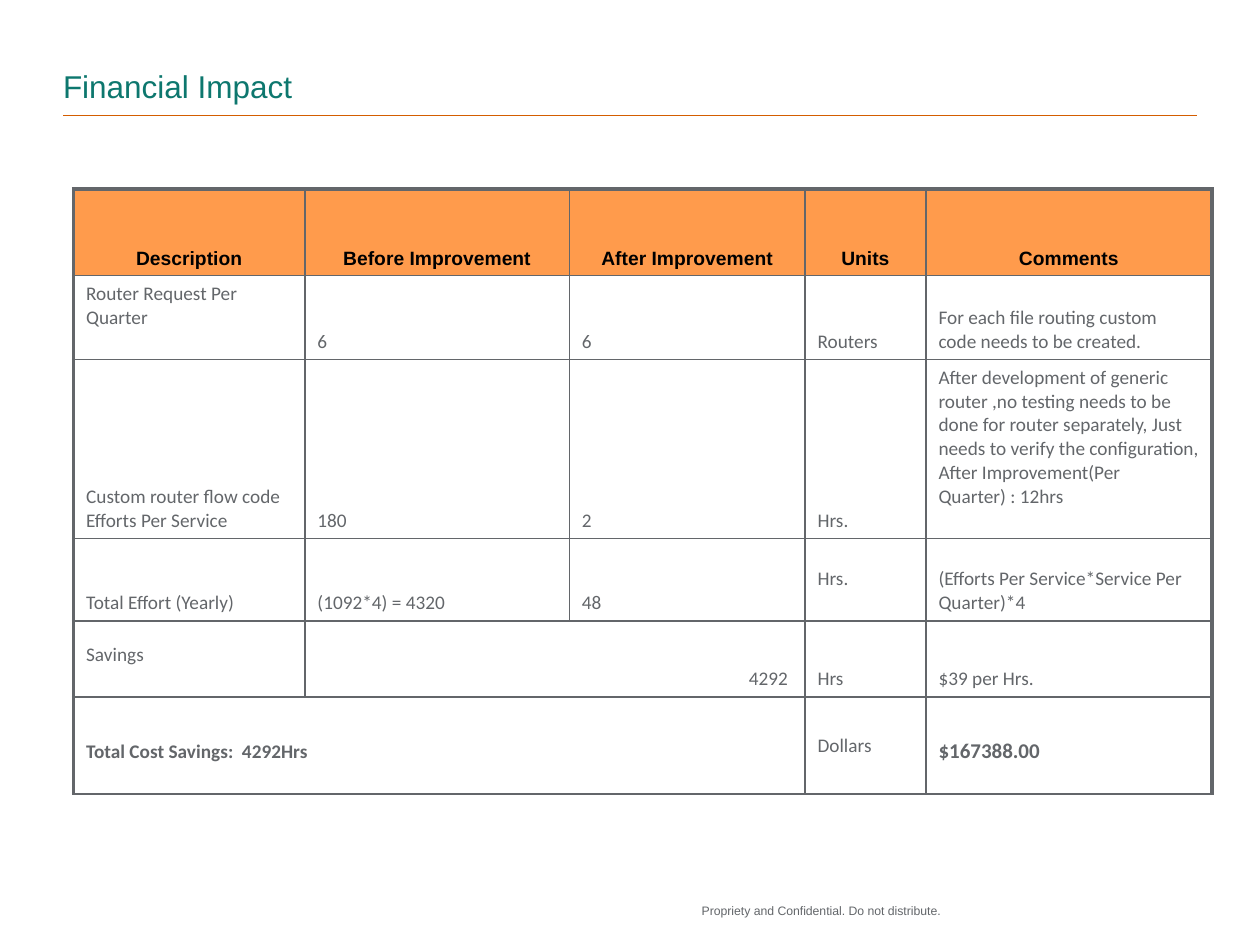
from lxml.etree import SubElement
from pptx import Presentation
from pptx.dml.color import RGBColor
from pptx.enum.shapes import MSO_CONNECTOR
from pptx.enum.text import MSO_ANCHOR, MSO_AUTO_SIZE, PP_ALIGN
from pptx.oxml.ns import qn
from pptx.util import Pt

GRAY, GREEN, ORANGE, RUST = "63666A", "0D776E", "FF9B4C", "D45D00"
EXTRA_LINE = 13.6

COLUMNS = [132.2, 151.2, 134.64, 69.12, 163.44]
ROWS = [49.5, 48, 102, 47, 43.5, 55.5]
CONTENT = [
    ["Description", "Before Improvement", "After Improvement", "Units", "Comments"],
    ["Router Request Per Quarter", "6", "6", "Routers",
     "For each file routing custom code needs to be created."],
    ["Custom router flow code Efforts Per Service", "180", "2", "Hrs.",
     "After development of generic router ,no testing needs to be done for router "
     "separately, Just needs to verify the configuration,\n"
     "After Improvement(Per Quarter) : 12hrs"],
    ["Total Effort (Yearly)", "(1092*4) = 4320", "48", "Hrs.",
     "(Efforts Per Service*Service Per Quarter)*4"],
    ["Savings", "4292 ", None, "Hrs", "$39 per Hrs."],
    ["Total Cost Savings:  4292Hrs", None, None, "Dollars", "$167388.00"],
]
# Cells whose text stands one line above the bottom
RAISED = {(1, 0), (2, 4), (3, 3), (4, 0), (5, 0), (5, 4)}


def color(value):
    return RGBColor.from_string(value)


class SlideBuilder:
    def __init__(self, slide):
        self.slide = slide

    def style(self, paragraph, size, font="Arial", ink=GRAY, bold=False):
        paragraph.font.size = Pt(size)
        paragraph.font.name = font
        paragraph.font.bold = bold
        paragraph.font.color.rgb = color(ink)

    def frame(self, shape, text, wrap=True):
        frame = shape.text_frame
        frame.text = text
        frame.word_wrap = wrap
        frame.auto_size = MSO_AUTO_SIZE.NONE
        frame.margin_left = frame.margin_right = 0
        frame.margin_top = frame.margin_bottom = 0
        return frame

    def title(self, text, left, top, width, height):
        shape = self.slide.shapes.title
        shape.left, shape.top = Pt(left), Pt(top)
        shape.width, shape.height = Pt(width), Pt(height)
        frame = self.frame(shape, text)
        frame.vertical_anchor = MSO_ANCHOR.BOTTOM
        frame.paragraphs[0].alignment = PP_ALIGN.LEFT
        self.style(frame.paragraphs[0], 18, ink=GREEN)

    def rule(self, left, right, y):
        connector = self.slide.shapes.add_connector(
            MSO_CONNECTOR.STRAIGHT, Pt(left), Pt(y), Pt(right), Pt(y))
        connector.line.width = Pt(1)
        connector.line.fill.solid()
        connector.line.fill.fore_color.rgb = color(RUST)
        SubElement(connector._element.spPr, qn("a:effectLst"))

    def label(self, text, left, top, width, height):
        box = self.slide.shapes.add_textbox(Pt(left), Pt(top), Pt(width), Pt(height))
        self.style(self.frame(box, text, wrap=False).paragraphs[0], 7)

    def borders(self, cell, **widths):
        properties = cell._tc.get_or_add_tcPr()
        for side in "LRTB":
            line = SubElement(properties, qn("a:ln" + side),
                              w=str(Pt(widths.get(side, 1))))
            fill = SubElement(line, qn("a:solidFill"))
            SubElement(fill, qn("a:srgbClr"), val=GRAY)

    def table(self, left, top):
        table = self.slide.shapes.add_table(
            len(ROWS), len(COLUMNS), Pt(left), Pt(top),
            Pt(sum(COLUMNS)), Pt(sum(ROWS))).table
        table.first_row = table.horz_banding = False
        for column, width in zip(table.columns, COLUMNS):
            column.width = Pt(width)
        for row, height in zip(table.rows, ROWS):
            row.height = Pt(height)
        for i, texts in enumerate(CONTENT):
            for j, text in enumerate(texts):
                self.cell(table.cell(i, j), i, j, text)
        table.cell(4, 1).merge(table.cell(4, 2))
        table.cell(5, 0).merge(table.cell(5, 2))
        # Exceptions to the common cell format
        table.cell(4, 1).text_frame.paragraphs[0].alignment = PP_ALIGN.RIGHT
        table.cell(5, 3).vertical_anchor = MSO_ANCHOR.MIDDLE
        for j, size in ((0, 11), (4, 12)):
            self.style(table.cell(5, j).text_frame.paragraphs[0],
                       size, "Calibri", bold=True)

    def cell(self, cell, i, j, text):
        # Heavy lines on the outer left, right and top edges
        heavy = {"L": j == 0, "R": j == len(COLUMNS) - 1, "T": i == 0}
        self.borders(cell, **{side: 2.25 for side in heavy if heavy[side]})
        if i == 0:
            cell.fill.solid()
            cell.fill.fore_color.rgb = color(ORANGE)
        else:
            cell.fill.background()
        cell.vertical_anchor = MSO_ANCHOR.BOTTOM
        cell.margin_bottom = Pt(3.6 + (EXTRA_LINE if (i, j) in RAISED else 0))
        if text is None:
            return
        cell.text_frame.text = text
        for paragraph in cell.text_frame.paragraphs:
            if i == 0:
                self.style(paragraph, 11, ink="000000", bold=True)
                paragraph.alignment = PP_ALIGN.CENTER
                paragraph.line_spacing = 0.95
                paragraph.space_after = Pt(4)
            else:
                self.style(paragraph, 11, "Calibri")


def main():
    presentation = Presentation()
    presentation.slide_width, presentation.slide_height = Pt(720), Pt(540)
    builder = SlideBuilder(presentation.slides.add_slide(presentation.slide_layouts[5]))
    # Heading and footer
    builder.rule(36, 684, 66)
    builder.label("Propriety and Confidential. Do not distribute.", 401, 516, 150, 18)
    builder.title("Financial Impact", 36, 12, 648, 48)
    # Savings table
    builder.table(42, 108)
    presentation.save("out.pptx")


if __name__ == "__main__":
    main()
